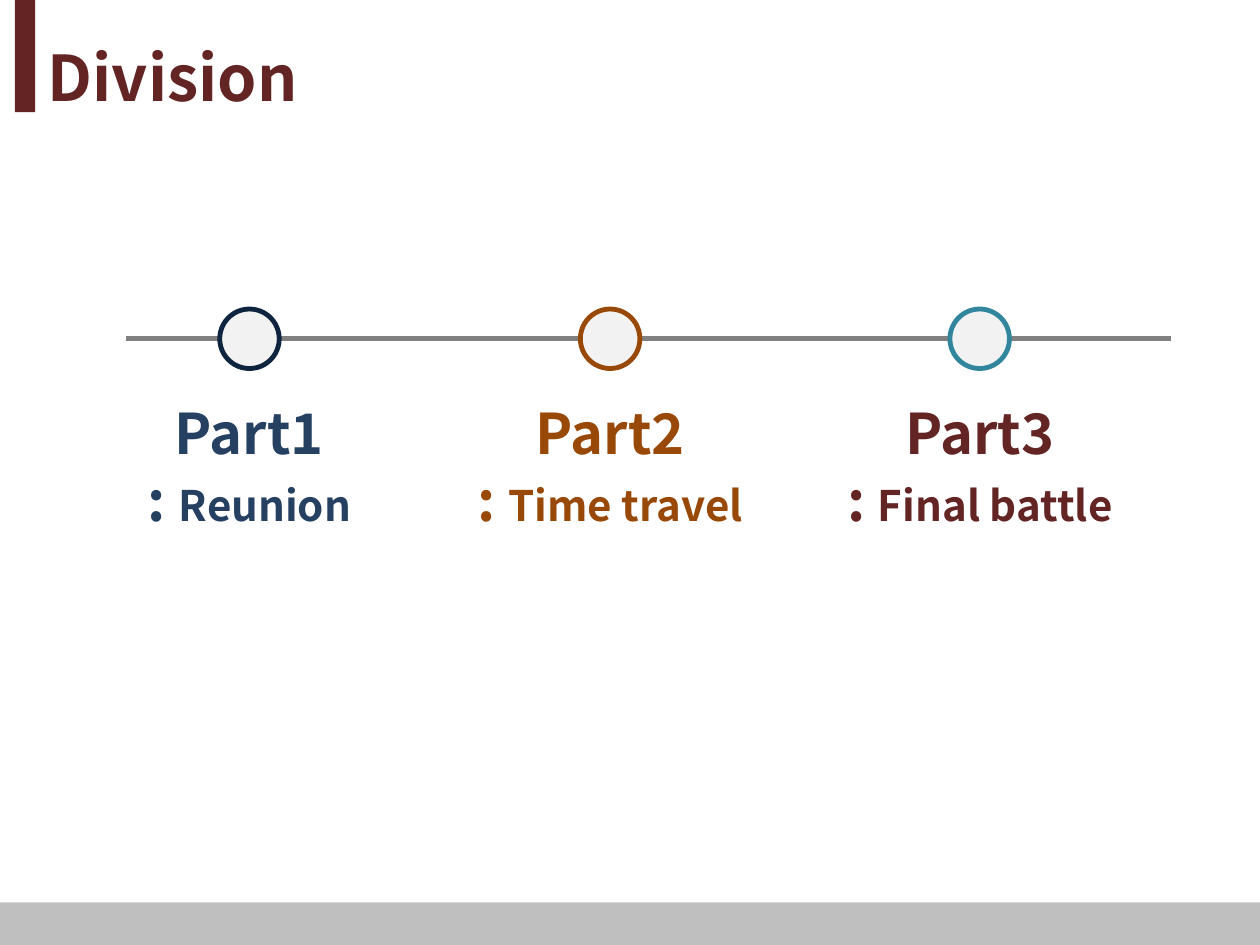
from pptx import Presentation
from pptx.dml.color import RGBColor
from pptx.enum.shapes import MSO_CONNECTOR, MSO_SHAPE
from pptx.enum.text import MSO_ANCHOR, PP_ALIGN
from pptx.oxml.ns import qn
from pptx.util import Cm, Pt
from lxml.etree import SubElement

FONT = "Noto Sans CJK KR"
GREY = RGBColor(0xBF, 0xBF, 0xBF)
RAIL = RGBColor(0x80, 0x80, 0x80)
PALE = RGBColor(0xF2, 0xF2, 0xF2)
NAVY = RGBColor(0x0F, 0x24, 0x3E)
BLUE = RGBColor(0x25, 0x40, 0x61)
BROWN = RGBColor(0x98, 0x48, 0x07)
TEAL = RGBColor(0x31, 0x85, 0x9C)
WINE = RGBColor(0x63, 0x25, 0x23)


def add_shape(kind, left, top, width, height, fill):
    shape = slide.shapes.add_shape(kind, Cm(left), Cm(top), Cm(width), Cm(height))
    shape.shadow.inherit = False
    shape.fill.solid()
    shape.fill.fore_color.rgb = fill
    shape.line.fill.background()
    return shape


def set_font(para, size, color):
    para.font.name = FONT
    para.font.size = Pt(size)
    para.font.bold = True
    para.font.color.rgb = color


deck = Presentation()
deck.slide_width, deck.slide_height = Cm(25.4), Cm(19.05)
slide = deck.slides.add_slide(deck.slide_layouts[5])

# Footer band and title bar
add_shape(MSO_SHAPE.RECTANGLE, 0, 18.19, 25.4, 0.86, GREY)
add_shape(MSO_SHAPE.RECTANGLE, 0.3, 0, 0.41, 2.26, WINE)

# Title
title = slide.shapes.title
title.left, title.top, title.width, title.height = Cm(0.71), Cm(0.64), Cm(13.41), Cm(1.8)
title.text_frame.text = "Division"
title.text_frame.vertical_anchor = MSO_ANCHOR.TOP
head = title.text_frame.paragraphs[0]
head.alignment = PP_ALIGN.LEFT
set_font(head, 36, WINE)

# Timeline rail
mid = 6.83
rail = slide.shapes.add_connector(MSO_CONNECTOR.STRAIGHT, Cm(2.54), Cm(mid), Cm(23.6), Cm(mid))
rail.line.color.rgb = RAIL
rail.line.width = Pt(3)
SubElement(rail._element.spPr, qn("a:effectLst"))

# Parts: dot centre, dot colour, text colour, name, topic
parts = [
    (5.03, NAVY, BLUE, "Part1", "Reunion"),
    (12.3, BROWN, BROWN, "Part2", "Time travel"),
    (19.75, TEAL, WINE, "Part3", "Final battle"),
]
size, wide = 1.2, 6.45
for x, ring, color, name, topic in parts:
    dot = add_shape(MSO_SHAPE.OVAL, x - size / 2, mid - size / 2, size, size, PALE)
    dot.line.color.rgb = ring
    dot.line.width = Pt(2.75)

    box = slide.shapes.add_textbox(Cm(x - wide / 2), Cm(7.9), Cm(wide), Cm(2.92))
    frame = box.text_frame
    frame.word_wrap = True
    frame.text = name
    line = frame.add_paragraph()
    line.add_run().text = ": "
    run = line.add_run()
    run.text = topic
    for para in frame.paragraphs:
        para.alignment = PP_ALIGN.CENTER
        set_font(para, 32, color)
    run.font.size = Pt(24)

deck.save("out.pptx")
